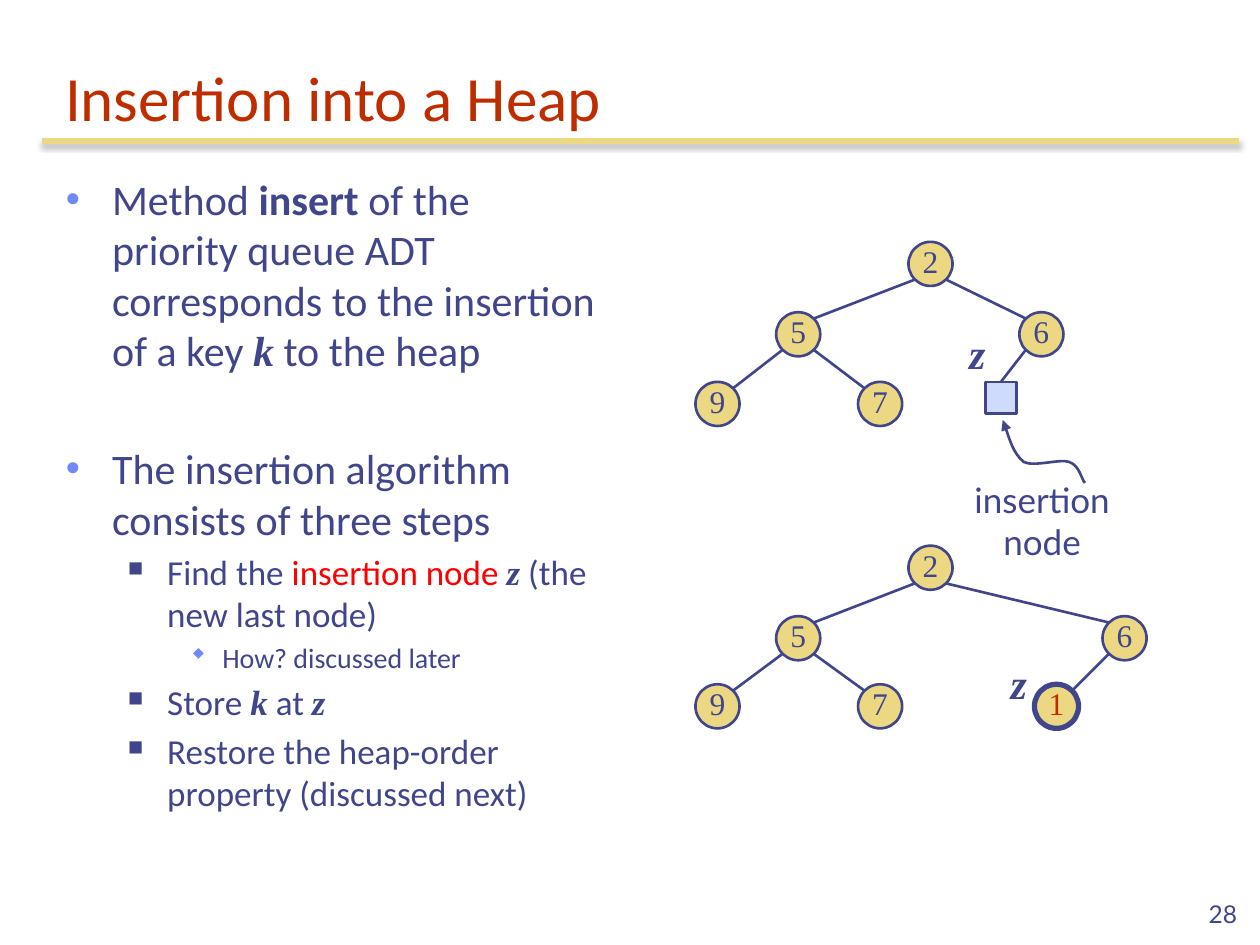
from lxml import etree
from pptx import Presentation
from pptx.dml.color import RGBColor
from pptx.enum.shapes import MSO_CONNECTOR, MSO_SHAPE
from pptx.enum.text import MSO_ANCHOR, MSO_AUTO_SIZE, PP_ALIGN
from pptx.oxml.ns import qn
from pptx.util import Pt

STRAIGHT = MSO_CONNECTOR.STRAIGHT
OVAL, RECTANGLE = MSO_SHAPE.OVAL, MSO_SHAPE.RECTANGLE
LEFT, CENTER, RIGHT = PP_ALIGN.LEFT, PP_ALIGN.CENTER, PP_ALIGN.RIGHT
TOP, MIDDLE, BOTTOM = MSO_ANCHOR.TOP, MSO_ANCHOR.MIDDLE, MSO_ANCHOR.BOTTOM

INK, RUST, RED = "40458C", "BE2D00", "FF0000"
GOLD, PALE, PERIWINKLE = "ECD882", "CFDBFD", "6F89F7"
SANS, LABEL, SERIF = "Calibri", "Lato", "Times New Roman"
SYMBOLS = "Wingdings"  # here n is a square and w a diamond

# Content: run styles are "" plain, "b" bold, "v" variable, "r" red
TITLE = "Insertion into a Heap"
BODY = [  # level, space before, runs
    (0, 0, [("Method ", ""), ("insert", "b"),
            (" of the priority queue ADT corresponds to the insertion of a key ", ""),
            ("k", "v"), (" to the heap", "")]),
    (0, 38.6, [("The insertion algorithm consists of three steps", "")]),
    (1, 4, [("Find the ", ""), ("insertion node ", "r"), ("z", "v"),
            (" (the new last node)", "")]),
    (2, 3.2, [("How? discussed later", "")]),
    (1, 4, [("Store ", ""), ("k", "v"), (" at ", ""), ("z", "v")]),
    (1, 4, [("Restore the heap-order property (discussed next)", "")]),
]
LEVELS = [  # size, margin, hanging indent, bullet, its font, colour, percent
    (24, 27, 27, "•", SERIF, PERIWINKLE, 110),
    (20, 58.5, 22.5, "n", SYMBOLS, INK, 60),
    (16, 90, 18, "w", SYMBOLS, PERIWINKLE, 95),
]

# Trees: key -> centre x and depth; edges run parent to child
SHARED_NODES = {"2": (531.7, 0), "5": (456.1, 1), "9": (410, 2), "7": (502.9, 2)}
SHARED_EDGES = [("2", "5"), ("2", "6"), ("5", "9"), ("5", "7")]
TREES = [  # row centres, further nodes, further edges
    ((150.8, 191, 230.8), {"6": (595.1, 1)}, []),
    ((324.4, 364.7, 403.6), {"6": (642.6, 1), "1": (603.7, 2)}, [("6", "1")]),
]
NEW_KEY = "1"
RADIUS = 12.6
EDGE_OFFSET = 9  # edges meet circles on the diagonals
ARROW_CURVE = [(619.9, 275.8), (618.5, 274.3), (617, 266.4), (611.3, 264.2),
               (605.5, 262.1), (591.1, 267.1), (584.6, 263.5),
               (578.9, 259.2), (575.3, 244.8), (573.1, 239.8)]


def color(value):
    return RGBColor.from_string(value)


def add_element(parent, tag, **attributes):
    return etree.SubElement(parent, qn(tag), attributes)


def style_font(font, size, name, value, bold=False, italic=False):
    font.size, font.name = Pt(size), name
    font.bold, font.italic = bold, italic
    font.color.rgb = color(value)


def write(frame, text, size, name, value, align=CENTER, anchor=TOP,
          wrap=True, **emphasis):
    frame.text = text
    frame.word_wrap, frame.vertical_anchor = wrap, anchor
    frame.auto_size = MSO_AUTO_SIZE.NONE
    frame.paragraphs[0].alignment = align
    style_font(frame.paragraphs[0].runs[0].font, size, name, value, **emphasis)


def add_box(left, top, width, height):
    return slide.shapes.add_textbox(Pt(left), Pt(top), Pt(width), Pt(height)).text_frame


def add_shape(kind, left, top, size, fill, weight=1.5):
    shape = slide.shapes.add_shape(kind, Pt(left), Pt(top), Pt(size), Pt(size))
    shape.shadow.inherit = False
    shape.fill.solid()
    shape.fill.fore_color.rgb = color(fill)
    shape.line.color.rgb, shape.line.width = color(INK), Pt(weight)
    return shape


def add_line(x1, y1, x2, y2, value=INK, weight=1.5):
    line = slide.shapes.add_connector(STRAIGHT, Pt(x1), Pt(y1), Pt(x2), Pt(y2))
    line.line.color.rgb, line.line.width = color(value), Pt(weight)
    effects = add_element(line._element.spPr, "a:effectLst")
    return line, effects


def add_bullet(paragraph, margin, hanging, character, font, value, percent):
    properties = paragraph._p.get_or_add_pPr()
    properties.set("marL", str(Pt(margin)))
    properties.set("indent", str(-Pt(hanging)))
    add_element(add_element(properties, "a:buClr"), "a:srgbClr", val=value)
    add_element(properties, "a:buSzPct", val=str(percent * 1000))
    bullet_font = add_element(properties, "a:buFont", typeface=font)
    if font == SYMBOLS:
        bullet_font.set("pitchFamily", "2")
        bullet_font.set("charset", "2")
    add_element(properties, "a:buChar", char=character)


def add_curve(points):
    builder = slide.shapes.build_freeform(*points[0], scale=Pt(1))
    builder.add_line_segments(points[1:], close=False)
    shape = builder.convert_to_shape()
    # Each three straight segments become one cubic segment
    segments = list(shape._element.iter(qn("a:lnTo")))
    for start in range(0, len(segments), 3):
        first = segments[start]
        first.tag = qn("a:cubicBezTo")
        for segment in segments[start + 1:start + 3]:
            first.append(segment[0])
            segment.getparent().remove(segment)
    shape.shadow.inherit = False
    shape.fill.background()
    shape.line.color.rgb, shape.line.width = color(INK), Pt(1.5)
    add_element(shape.line._get_or_add_ln(), "a:tailEnd", type="triangle")


def add_tree(rows, extra_nodes, extra_edges):
    centres = {key: (x, rows[depth])
               for key, (x, depth) in {**SHARED_NODES, **extra_nodes}.items()}
    for parent, child in SHARED_EDGES + extra_edges:
        (x1, y1), (x2, y2) = centres[parent], centres[child]
        shift = EDGE_OFFSET if x2 > x1 else -EDGE_OFFSET
        add_line(x1 + shift, y1 + EDGE_OFFSET, x2 - shift, y2 - EDGE_OFFSET)
    for key, (x, y) in centres.items():
        is_new = key == NEW_KEY
        node = add_shape(OVAL, x - RADIUS, y - RADIUS, 2 * RADIUS, GOLD,
                         3 if is_new else 1.5)
        frame = node.text_frame
        frame.margin_left = frame.margin_top = frame.margin_right = 0
        frame.margin_bottom = Pt(3.6)
        write(frame, key, 18, SERIF, RUST if is_new else INK,
              anchor=MIDDLE, wrap=False)
    return centres


presentation = Presentation()
presentation.slide_width, presentation.slide_height = Pt(720), Pt(540)
slide = presentation.slides.add_slide(presentation.slide_layouts[5])

# Title and shadowed rule
title = slide.shapes.title
title.left, title.top, title.width, title.height = Pt(30), Pt(24), Pt(672), Pt(56)
write(title.text_frame, TITLE, 36, SANS, RUST, LEFT, BOTTOM)
rule, effects = add_line(24, 80.6, 708, 80.6, GOLD, 3)
shadow = add_element(effects, "a:outerShdw", blurRad=str(Pt(3.1)),
                     dist=str(Pt(1.8)), dir="5400000", rotWithShape="0")
add_element(add_element(shadow, "a:srgbClr", val="000000"), "a:alpha", val="35000")

# Bulleted text
body = add_box(30, 95.6, 318, 415)
body.word_wrap = True
for index, (level, space, runs) in enumerate(BODY):
    paragraph = body.paragraphs[0] if index == 0 else body.add_paragraph()
    size, *bullet = LEVELS[level]
    paragraph.level = level
    add_bullet(paragraph, *bullet)
    paragraph.space_before = Pt(space)
    for text, style in runs:
        run = paragraph.add_run()
        run.text = text
        variable = style == "v"
        style_font(run.font, size, SERIF if variable else SANS,
                   RED if style == "r" else INK,
                   bold=style in ("b", "v"), italic=variable)

# Heaps before and after the key is stored
first_heap, _ = [add_tree(*tree) for tree in TREES]

# Insertion node with its edge, arrow and labels
square = add_shape(RECTANGLE, 563, 218.2, 18, PALE)
x, y = first_heap["6"]
edge, _ = add_line(x - EDGE_OFFSET, y + EDGE_OFFSET, 572, 218.2)
edge.end_connect(square, 0)
add_curve(ARROW_CURVE)
write(add_box(545.5, 270, 100, 56), "insertion node", 20, LABEL, INK)
for left, top in [(546.5, 183.6), (570.2, 372.2)]:
    write(add_box(left, top, 24, 36), "z", 24, SERIF, INK,
          wrap=False, bold=True, italic=True)

# Slide number
write(add_box(564, 498, 150, 36), "28", 14, LABEL, INK, RIGHT, BOTTOM)

presentation.save("out.pptx")
